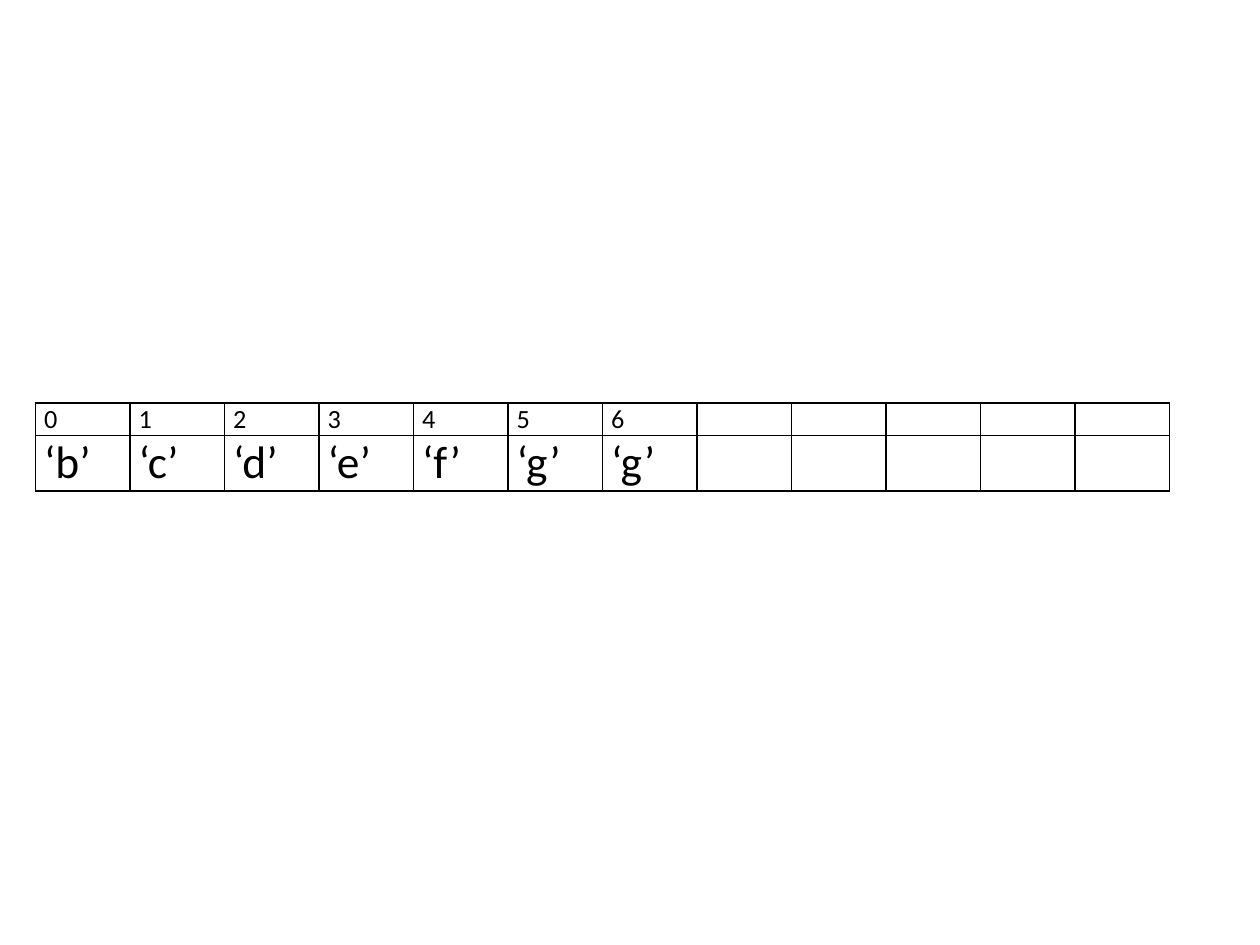
from dataclasses import dataclass

from pptx import Presentation, util as u
from pptx.dml.color import RGBColor
from pptx.enum import text
from pptx.oxml import ns, xmlchemy


@dataclass(frozen=True)
class Theme:
    font: str = "Calibri"
    ink: str = "000000"
    paper: str = "FFFFFF"
    index_size: int = 15
    value_size: int = 26
    border: float = 1


class SlideBuilder:
    """Draws styled elements on one slide, placed by shares of its size."""

    def __init__(self, deck, theme):
        self.deck = deck
        self.theme = theme
        self.slide = deck.slides.add_slide(deck.slide_layouts[6])

    def array_table(self, left, top, width, columns, rows):
        page_width, page_height = self.deck.slide_width, self.deck.slide_height
        height = sum(share for share, _, _ in rows)
        table = self.slide.shapes.add_table(
            len(rows), columns,
            round(left * page_width), round(top * page_height),
            round(width * page_width), round(height * page_height),
        ).table
        table.first_row = table.horz_banding = False
        for row, (share, size, entries) in zip(table.rows, rows):
            row.height = round(share * page_height)
            padded = entries + [""] * (columns - len(entries))
            for cell, entry in zip(row.cells, padded):
                self.style_cell(cell, entry, size)

    def style_cell(self, cell, entry, size):
        cell.margin_left = cell.margin_right = u.Inches(0.07)
        cell.margin_top = cell.margin_bottom = 0
        cell.vertical_anchor = text.MSO_ANCHOR.TOP
        self.add_borders(cell)
        cell.fill.solid()
        cell.fill.fore_color.rgb = RGBColor.from_string(self.theme.paper)
        para = cell.text_frame.paragraphs[0]
        para.font.name = self.theme.font
        para.font.size = u.Pt(size)
        para.font.color.rgb = RGBColor.from_string(self.theme.ink)
        if entry:
            para.add_run().text = entry
        else:
            end = xmlchemy.OxmlElement("a:endParaRPr")
            end.set("sz", str(size * 100))
            para._p.append(end)

    def add_borders(self, cell):
        properties = cell._tc.get_or_add_tcPr()
        for side in ("lnL", "lnR", "lnT", "lnB"):
            line = properties.makeelement(
                ns.qn(f"a:{side}"), {"w": str(u.Pt(self.theme.border))})
            fill = xmlchemy.OxmlElement("a:solidFill")
            color = xmlchemy.OxmlElement("a:srgbClr")
            color.set("val", self.theme.ink)
            fill.append(color)
            line.append(fill)
            properties.append(line)


def main():
    deck = Presentation()
    deck.slide_width, deck.slide_height = u.Inches(10), u.Inches(7.5)
    theme = Theme()
    letters = "bcdefgg"
    indices = [str(index) for index in range(len(letters))]
    values = [f"‘{letter}’" for letter in letters]
    builder = SlideBuilder(deck, theme)
    builder.array_table(
        left=0.28 / 10, top=3.2 / 7.5, width=0.9, columns=12,
        rows=[(0.25 / 7.5, theme.index_size, indices),
              (0.43 / 7.5, theme.value_size, values)])
    deck.save("out.pptx")


if __name__ == "__main__":
    main()
